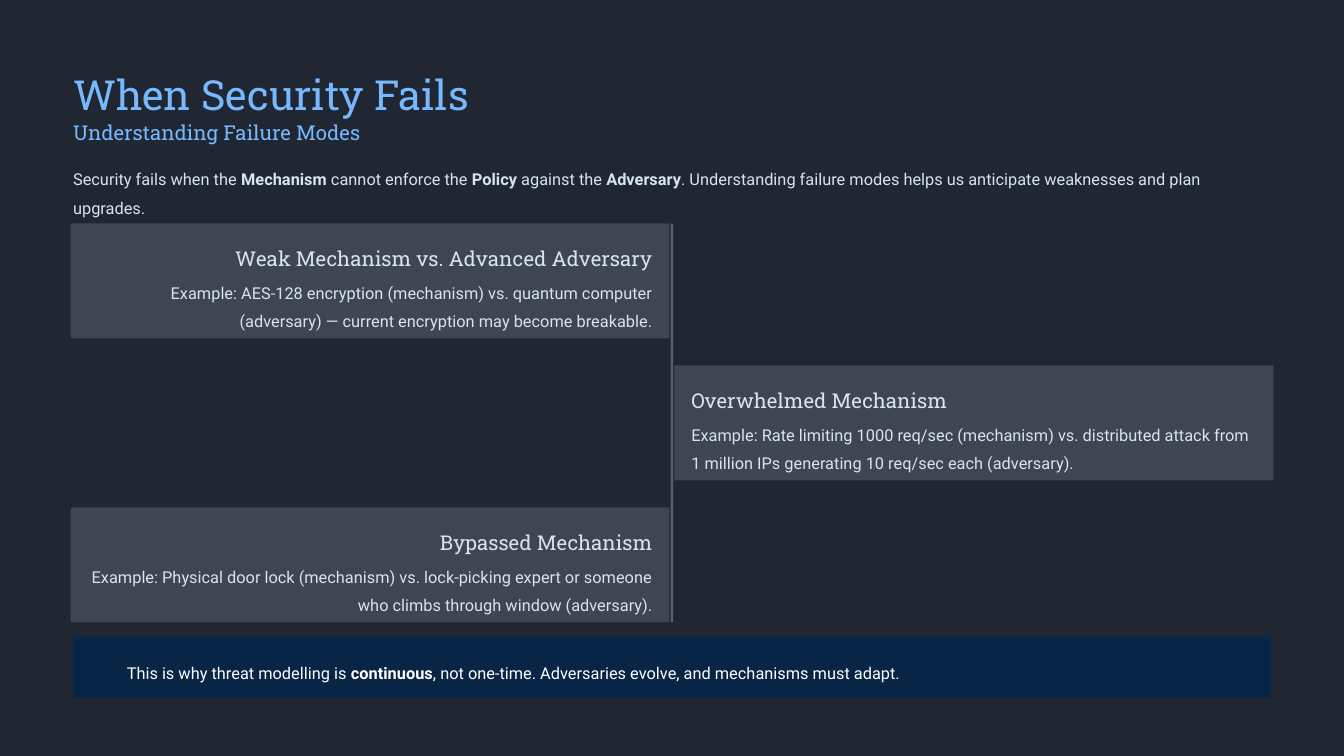
from pptx import Presentation
from pptx.dml.color import RGBColor
from pptx.enum.shapes import MSO_SHAPE as Shape
from pptx.enum.text import MSO_ANCHOR as Anchor, PP_ALIGN as Align
from pptx.util import Inches, Pt

# Content: **marks** bold words
TITLE = "When Security Fails"
SUBTITLE = "Understanding Failure Modes"
INTRO = ("Security fails when the **Mechanism** cannot enforce the **Policy** against the "
         "**Adversary**. Understanding failure modes helps us anticipate weaknesses and "
         "plan upgrades.")
FAILURES = [
    ("Weak Mechanism vs. Advanced Adversary",
     "Example: AES-128 encryption (mechanism) vs. quantum computer (adversary) — "
     "current encryption may become breakable."),
    ("Overwhelmed Mechanism",
     "Example: Rate limiting 1000 req/sec (mechanism) vs. distributed attack from "
     "1 million IPs generating 10 req/sec each (adversary)."),
    ("Bypassed Mechanism",
     "Example: Physical door lock (mechanism) vs. lock-picking expert or someone who "
     "climbs through window (adversary)."),
]
CALLOUT = ("This is why threat modelling is **continuous**, not one-time. "
           "Adversaries evolve, and mechanisms must adapt.")

# Colours
NIGHT = RGBColor(0x20, 0x27, 0x33)
SKY = RGBColor(0x76, 0xB9, 0xFF)
MIST = RGBColor(0xD6, 0xE5, 0xEF)
SLATE = RGBColor(0x3F, 0x46, 0x52)
STEEL = RGBColor(0x58, 0x5F, 0x6B)
NAVY = RGBColor(0x08, 0x25, 0x45)
WHITE = RGBColor(0xFF, 0xFF, 0xFF)

# Text styles: line spacing and font values
HEADLINE = (1.25, dict(name="Roboto Slab", size=Pt(35.5)))
HEADING = (1.26, dict(name="Roboto Slab", size=Pt(17.5)))
BODY = (1.46, dict(name="Roboto", size=Pt(14)))

# Layout in inches
W, H = 16, 9
MARGIN = 0.87
CONTENT_W = W - 2 * MARGIN
SPINE_TOP, SPINE_W, SPINE_H = 2.66, 0.03, 4.75
CARD_W, CARD_H, CARD_GAP, PAD = 7.13, 1.37, 0.03, 0.2
PITCH = (SPINE_H - CARD_H) / (len(FAILURES) - 1)

prs = Presentation()
prs.slide_width, prs.slide_height = Inches(W), Inches(H)
s = prs.slides.add_slide(prs.slide_layouts[6])
s.background.fill.solid()
s.background.fill.fore_color.rgb = NIGHT


def add_block(x, y, w, h, color, radius=0):
    kind = Shape.ROUNDED_RECTANGLE if radius else Shape.RECTANGLE
    sp = s.shapes.add_shape(kind, *map(Inches, (x, y, w, h)))
    if radius:
        sp.adjustments[0] = radius
    sp.shadow.inherit = False
    sp.fill.solid()
    sp.fill.fore_color.rgb = color
    sp.line.fill.background()


def add_text(text, x, y, w, h, style, color, align=Align.LEFT):
    spacing, font = style
    tf = s.shapes.add_textbox(*map(Inches, (x, y, w, h))).text_frame
    frame = dict(word_wrap=True, vertical_anchor=Anchor.TOP, margin_left=0,
                 margin_right=0, margin_top=0, margin_bottom=0)
    for key, value in frame.items():
        setattr(tf, key, value)
    p = tf.paragraphs[0]
    p.alignment, p.line_spacing = align, spacing
    for i, part in enumerate(text.split("**")):
        r = p.add_run()
        r.text = part
        for key, value in dict(font, bold=i % 2 == 1).items():
            setattr(r.font, key, value)
        r.font.color.rgb = color


# Heading and introduction
add_text(TITLE, MARGIN, 0.68, CONTENT_W, 0.62, HEADLINE, SKY)
add_text(SUBTITLE, MARGIN, 1.36, CONTENT_W, 0.31, HEADING, SKY)
add_text(INTRO, MARGIN, 1.91, CONTENT_W, 0.57, BODY, MIST)

# Central spine with cards on alternating sides
add_block((W - SPINE_W) / 2, SPINE_TOP, SPINE_W, SPINE_H, STEEL, 0.5)
for i, (heading, example) in enumerate(FAILURES):
    on_left = i % 2 == 0
    x = W / 2 - CARD_GAP - CARD_W if on_left else W / 2 + CARD_GAP
    y = SPINE_TOP + i * PITCH
    align = Align.RIGHT if on_left else Align.LEFT
    add_block(x, y, CARD_W, CARD_H, SLATE, 0.02 if on_left else 0)
    text_w = CARD_W - 2 * PAD
    add_text(heading, x + PAD, y + PAD, text_w, 0.31, HEADING, MIST, align)
    add_text(example, x + PAD, y + 0.6, text_w, 0.57, BODY, MIST, align)

# Closing callout
add_block(MARGIN, 7.58, CONTENT_W, 0.73, NAVY, 0.04)
add_text(CALLOUT, 1.51, 7.79, 13.43, 0.29, BODY, WHITE)

prs.save("out.pptx")
